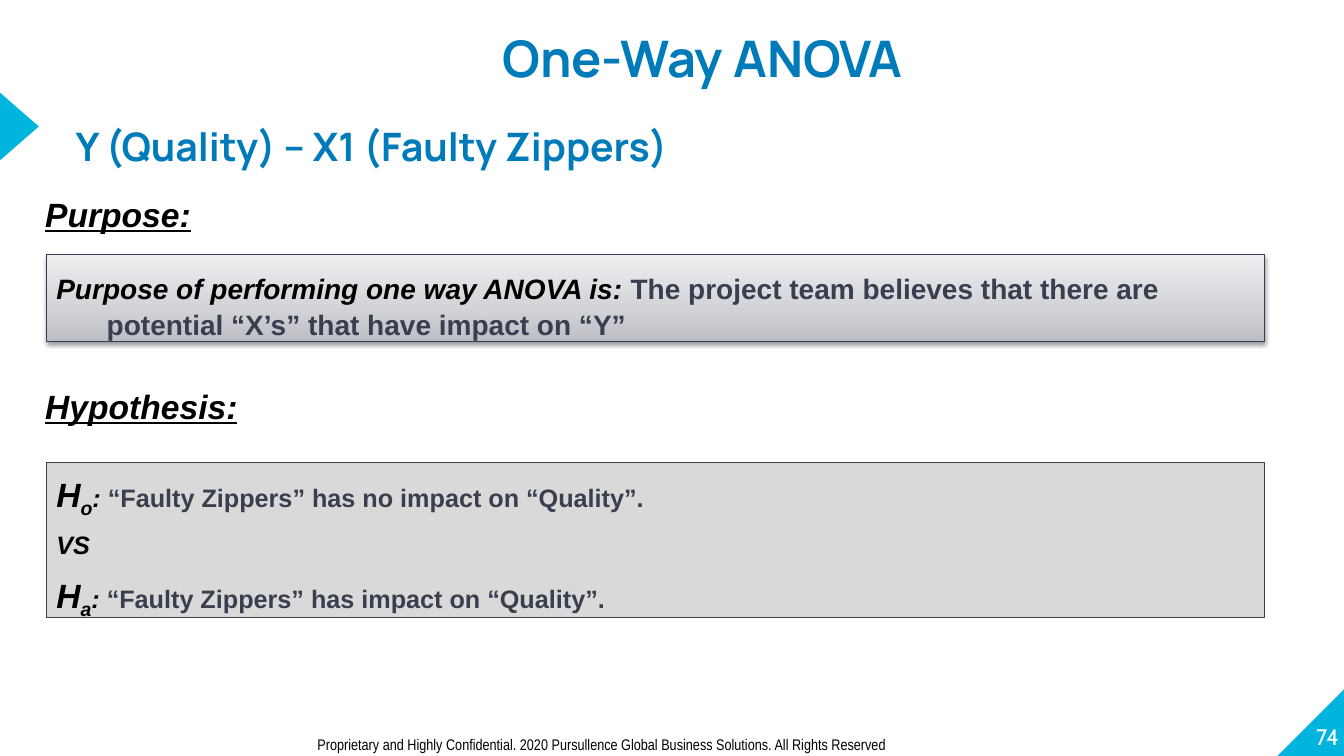
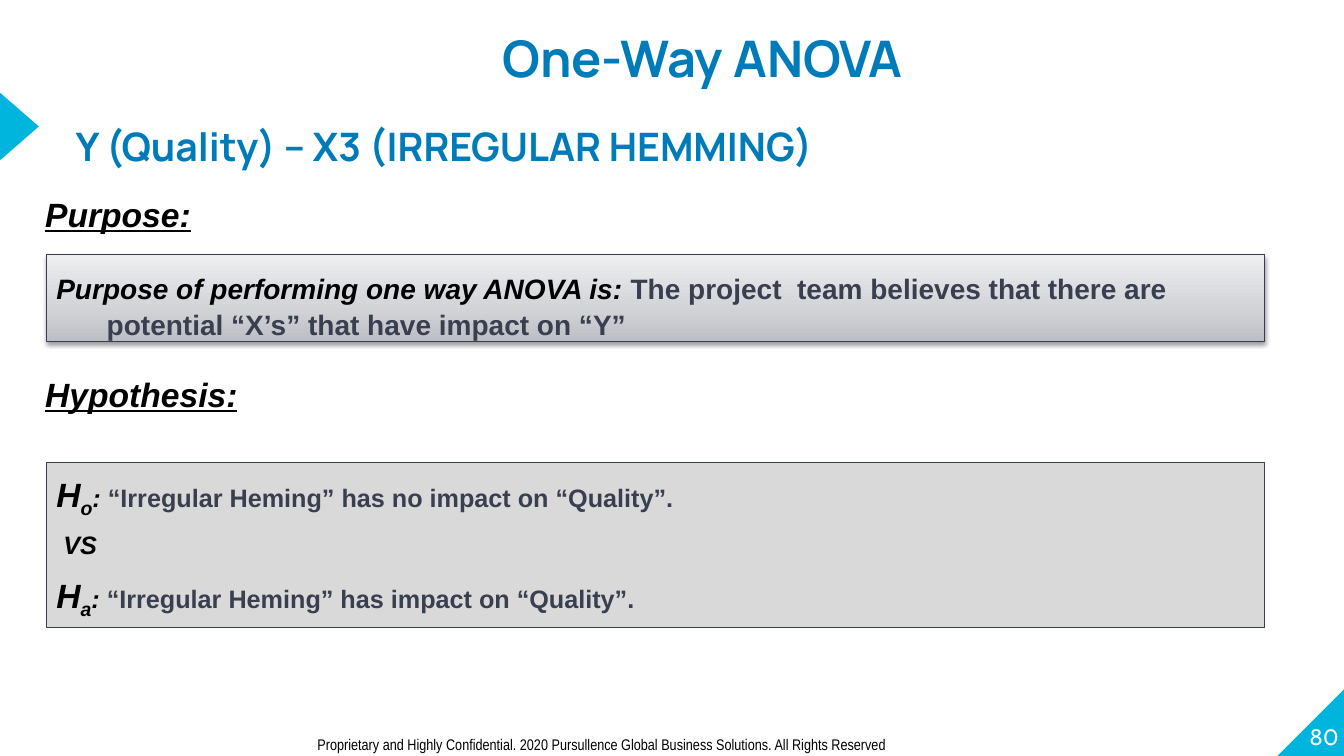
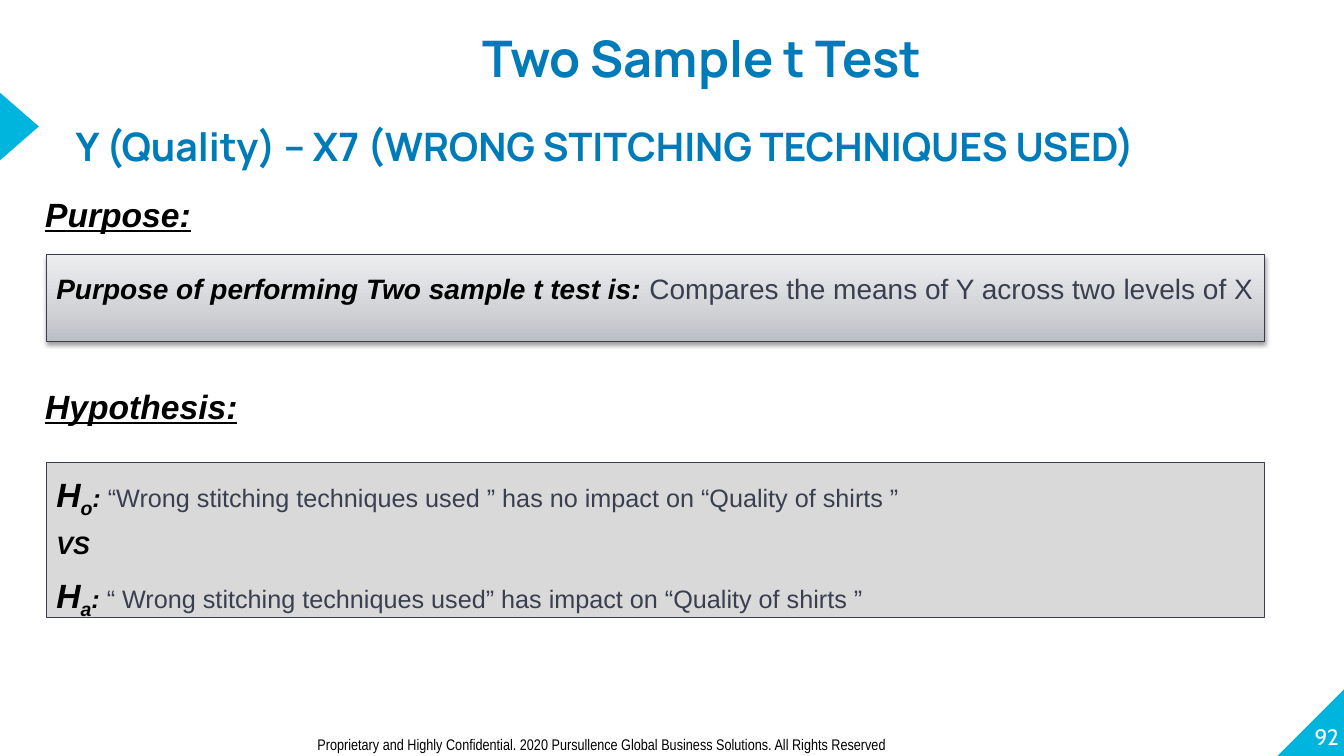
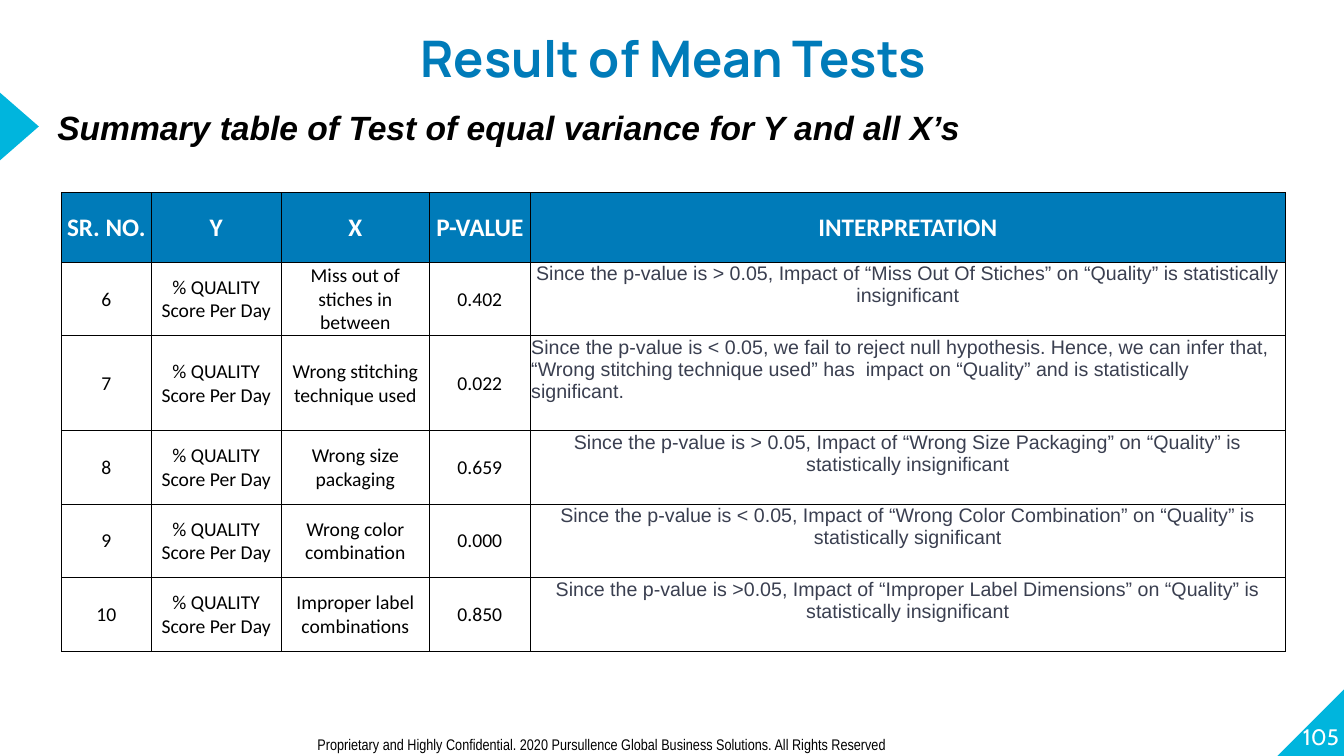
from copy import deepcopy
from dataclasses import dataclass

from lxml.etree import SubElement
from pptx import Presentation
from pptx.dml.color import RGBColor as RGB
from pptx.enum.shapes import MSO_SHAPE as SHAPE
from pptx.enum.text import MSO_ANCHOR as ANCHOR, PP_ALIGN as ALIGN
from pptx.oxml.ns import qn
from pptx.util import Inches, Pt


@dataclass(frozen=True)
class Theme:
    accent: str = "00B5DD"
    blue: str = "007BB9"
    ink: str = "3A3F50"
    edge: str = "383D4F"
    panel: str = "D9D9D9"
    black: str = "000000"
    white: str = "FFFFFF"
    gradient: tuple = ((0, "BCBEC5"), (0.35, "D0D2D6"), (1, "EDEEF0"))
    display: str = "Manrope"
    body: str = "Arial"
    narrow: str = "Arial Narrow"
    number: str = "Cabin"
    table: str = "Calibri"
    title_size: int = 36
    subtitle_size: int = 28
    heading_size: int = 24
    purpose_size: int = 20
    body_size: int = 18
    number_size: int = 16
    cell_size: int = 14
    footer_size: int = 11


T = Theme()


def write(p, text, size, color=T.black, font=T.body, bold=False, italic=False,
          underline=False, base=0, align=None, line=None, before=None, hang=0):
    if hang:
        pPr = p._p.get_or_add_pPr()
        pPr.set("marL", str(Inches(hang)))
        pPr.set("indent", str(-Inches(hang)))
    if align is not None:
        p.alignment = align
    if line:
        p.line_spacing = line
    if before:
        p.space_before = Pt(before)
    r = p.add_run()
    r.text = text
    f = r.font
    f.name, f.size, f.bold, f.italic = font, Pt(size), bold, italic
    f.color.rgb = RGB.from_string(color)
    if underline:
        f.underline = True
    if base:
        r._r.get_or_add_rPr().set("baseline", str(base * 1000))


def text_frame(s, x, y, w, h, inset=True, anchor=ANCHOR.TOP):
    tf = s.shapes.add_textbox(Inches(x), Inches(y), Inches(w), Inches(h)).text_frame
    tf.word_wrap = True
    tf.vertical_anchor = anchor
    if not inset:
        tf.margin_left = tf.margin_top = tf.margin_right = tf.margin_bottom = 0
    return tf


prs = Presentation()
prs.slide_width, prs.slide_height = Inches(13.33), Inches(7.5)

FOOTER = ("Proprietary and Highly Confidential. 2020 Pursullence Global "
          "Business Solutions. All Rights Reserved")
PAGES = [
    ("74", "One-Way ANOVA", 2.11, 9.71),
    ("80", "One-Way ANOVA", 2.11, 9.71),
    ("92", "Two Sample t Test", 2.11, 9.71),
    ("105", "Result of Mean Tests", 0.61, 12.14),
]
slides = []
for number, title, left, width in PAGES:
    s = prs.slides.add_slide(prs.slide_layouts[6])
    slides.append(s)
    corner = s.shapes.add_shape(SHAPE.RIGHT_TRIANGLE, Inches(12.67), Inches(6.82),
                                Inches(0.68), Inches(0.68))
    corner._element.spPr.find(qn("a:xfrm")).set("flipH", "1")
    pointer = s.shapes.add_shape(SHAPE.ISOSCELES_TRIANGLE, Inches(-0.15), Inches(1.06),
                                 Inches(0.68), Inches(0.39))
    pointer.rotation = 90
    for sp in (corner, pointer):
        sp.shadow.inherit = False
        sp.fill.solid()
        sp.fill.fore_color.rgb = RGB.from_string(T.accent)
        sp.line.fill.background()

    tf = text_frame(s, 12.61, 6.76, 0.67, 0.68, inset=False, anchor=ANCHOR.BOTTOM)
    write(tf.paragraphs[0], number, T.number_size, T.white, T.number, align=ALIGN.RIGHT)
    tf = text_frame(s, left, -0.03, width, 0.76, inset=False)
    write(tf.paragraphs[0], title, T.title_size, T.blue, T.display, bold=True,
          align=ALIGN.CENTER, line=1.5)
    tf = text_frame(s, 3.05, 7.24, 8.51, 0.29)
    write(tf.paragraphs[0], FOOTER, T.footer_size, font=T.narrow)

TESTS = [
    dict(subtitle="Y (Quality) – X1 (Faulty Zippers)", test="one way ANOVA",
         purpose="The project team believes that there are potential “X’s” that have impact on “Y”",
         null="“Faulty Zippers” has no impact on “Quality”.", versus="VS",
         alternative="“Faulty Zippers” has impact on “Quality”.",
         bold=True, heading_top=3.78, panel_height=1.54, subtitle_width=6),
    dict(subtitle="Y (Quality) – X3 (IRREGULAR HEMMING)", test="one way ANOVA",
         purpose="The project  team believes that there are potential “X’s” that have impact on “Y”",
         null="“Irregular Heming” has no impact on “Quality”.", versus=" VS",
         alternative="“Irregular Heming” has impact on “Quality”.",
         bold=True, heading_top=3.66, panel_height=1.64, subtitle_width=8.12),
    dict(subtitle="Y (Quality) – X7 (WRONG STITCHING TECHNIQUES USED)", test="Two sample t test",
         purpose="Compares the means of Y across two levels of X",
         null="“Wrong stitching techniques used ” has no impact on “Quality of shirts ”", versus="VS",
         alternative="“ Wrong stitching techniques used” has impact on “Quality of shirts ”",
         bold=False, heading_top=3.78, panel_height=1.54, subtitle_width=11.79),
]
strong = dict(bold=True, italic=True)
hanging = dict(line=1.05, hang=0.5)
for s, t in zip(slides, TESTS):
    tf = text_frame(s, 0.75, 0.98, t["subtitle_width"], 0.61, inset=False)
    write(tf.paragraphs[0], t["subtitle"], T.subtitle_size, T.blue, T.display,
          bold=True, line=1.5)
    for heading, top, width in (("Purpose:", 1.87, 1.8), ("Hypothesis:", t["heading_top"], 7.6)):
        tf = text_frame(s, 0.35, top, width, 0.5)
        write(tf.paragraphs[0], heading, T.heading_size, underline=True, **strong)

    purpose = s.shapes.add_shape(SHAPE.RECTANGLE, Inches(0.46), Inches(2.53),
                                 Inches(12.08), Inches(0.86))
    panel = s.shapes.add_shape(SHAPE.RECTANGLE, Inches(0.46), Inches(4.59),
                               Inches(12.08), Inches(t["panel_height"]))
    for sp, edge in ((purpose, T.edge), (panel, T.ink)):
        sp.shadow.inherit = False
        sp.line.color.rgb = RGB.from_string(edge)
        sp.line.width = Pt(0.75)
    panel.fill.solid()
    panel.fill.fore_color.rgb = RGB.from_string(T.panel)

    purpose.fill.gradient()
    purpose.fill.gradient_angle = 90
    spPr = purpose._element.spPr
    stops = spPr.find(".//" + qn("a:gsLst"))
    stops.append(deepcopy(stops[0]))
    for stop, (position, color) in zip(purpose.fill.gradient_stops, T.gradient):
        stop.position = position
        stop.color.rgb = RGB.from_string(color)
    shadow = SubElement(spPr.find(qn("a:effectLst")), qn("a:outerShdw"),
                        blurRad=str(Pt(3.1)), dist=str(Pt(1.6)), dir="5400000", rotWithShape="0")
    shade = SubElement(shadow, qn("a:srgbClr"), val=T.black)
    SubElement(shade, qn("a:alpha"), val="38000")

    p = text_frame(s, 0.46, 2.63, 12.08, 0.81).paragraphs[0]
    write(p, f"Purpose of performing {t['test']} is: ", T.purpose_size, **strong, **hanging)
    write(p, t["purpose"], T.purpose_size, T.ink, bold=t["bold"])

    tf = text_frame(s, 0.46, 4.63, 12.08, 1.48)
    null, versus, alternative = tf.paragraphs[0], tf.add_paragraph(), tf.add_paragraph()
    write(versus, t["versus"], T.body_size, before=6, **strong, **hanging)
    for p, mark, claim, before in ((null, "o", t["null"], None),
                                   (alternative, "a", t["alternative"], 9)):
        write(p, "H", T.heading_size, before=before, **strong, **hanging)
        write(p, mark, T.heading_size, base=-25, **strong)
        write(p, ": ", T.body_size, **strong)
        write(p, claim, T.body_size, T.ink, bold=t["bold"])

s = slides[-1]
tf = text_frame(s, 0.47, 1.01, 12.63, 0.5)
write(tf.paragraphs[0], "Summary table of Test of equal variance for Y and all X’s",
      T.heading_size, **strong)

SCORE = "% QUALITY Score Per Day"
ROWS = [
    ("SR. NO.", "Y", "X", "P-VALUE", "INTERPRETATION"),
    ("6", SCORE, "Miss out of stiches in between", "0.402",
     "Since the p-value is > 0.05, Impact of “Miss Out Of Stiches” on “Quality” is statistically insignificant"),
    ("7", SCORE, "Wrong stitching technique used", "0.022",
     "Since the p-value is < 0.05, we fail to reject null hypothesis. Hence, we can infer that, "
     "“Wrong stitching technique used” has  impact on “Quality” and is statistically significant."),
    ("8", SCORE, "Wrong size packaging", "0.659",
     "Since the p-value is > 0.05, Impact of “Wrong Size Packaging” on “Quality” is statistically insignificant"),
    ("9", SCORE, "Wrong color combination", "0.000",
     "Since the p-value is < 0.05, Impact of “Wrong Color Combination” on “Quality” is statistically significant"),
    ("10", SCORE, "Improper label combinations", "0.850",
     "Since the p-value is >0.05, Impact of “Improper Label Dimensions” on “Quality” is statistically insignificant"),
]
COLS = [0.89, 1.29, 1.47, 1, 7.49]
HEIGHTS = [0.69, 0.73, 0.94, 0.73, 0.73, 0.73]
table = s.shapes.add_table(len(ROWS), len(COLS), Inches(0.61), Inches(1.91),
                           Inches(sum(COLS)), Inches(sum(HEIGHTS))).table
table.first_row = table.horz_banding = False
for column, width in zip(table.columns, COLS):
    column.width = Inches(width)
for i, (row, height, values) in enumerate(zip(table.rows, HEIGHTS, ROWS)):
    row.height = Inches(height)
    for j, (cell, value) in enumerate(zip(row.cells, values)):
        header, note = i == 0, i > 0 and j == len(COLS) - 1
        cell.margin_left = cell.margin_right = cell.margin_top = Inches(0.01)
        cell.margin_bottom = 0
        cell.vertical_anchor = ANCHOR.TOP if note else ANCHOR.MIDDLE
        tcPr = cell._tc.get_or_add_tcPr()
        for side in ("a:lnL", "a:lnR", "a:lnT", "a:lnB"):
            ln = SubElement(tcPr, qn(side), w=str(Pt(0.5)))
            SubElement(SubElement(ln, qn("a:solidFill")), qn("a:srgbClr"), val=T.black)
        if header:
            cell.fill.solid()
            cell.fill.fore_color.rgb = RGB.from_string(T.blue)
        else:
            cell.fill.background()
        write(cell.text_frame.paragraphs[0], value,
              T.body_size if header else T.cell_size,
              T.white if header else T.ink if note else T.black,
              T.body if note else T.table, bold=header,
              align=ALIGN.LEFT if note and values[0] == "7" else ALIGN.CENTER)

prs.save("out.pptx")
